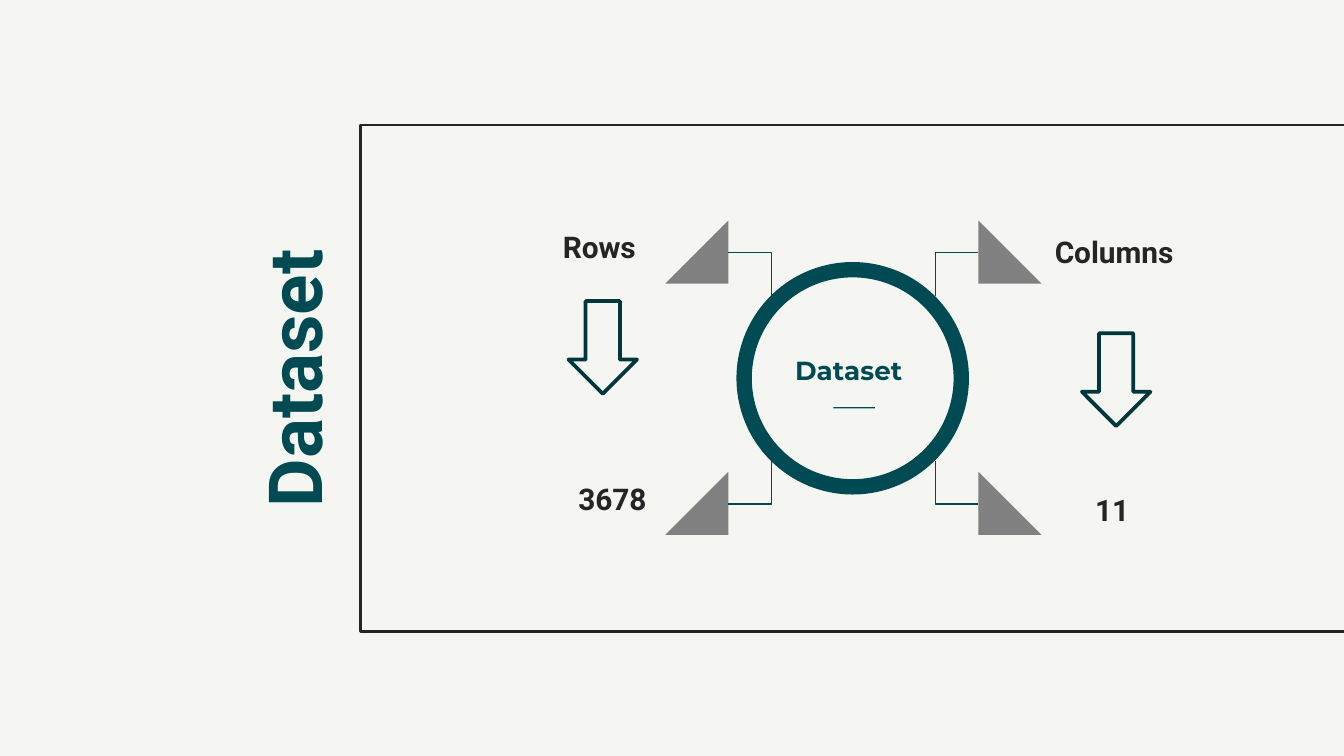
from pptx import Presentation
from pptx.dml.color import RGBColor
from pptx.enum.shapes import MSO_CONNECTOR, MSO_SHAPE as SHAPE
from pptx.enum.text import MSO_ANCHOR as ANCHOR, PP_ALIGN as ALIGN
from pptx.oxml.ns import qn
from pptx.util import Inches, Pt
from lxml import etree

TEAL, DARK, GREY, ARROW = "004B53", "252525", "808080", "00373D"


def rgb(value):
    return RGBColor.from_string(value)


def style(shape, fill=None, line=None, width=1):
    shape.shadow.inherit = False
    if fill:
        shape.fill.solid()
        shape.fill.fore_color.rgb = rgb(fill)
    else:
        shape.fill.background()
    if line:
        shape.line.color.rgb = rgb(line)
        shape.line.width = Pt(width)
    else:
        shape.line.fill.background()


# Widescreen 16:9 slide
deck = Presentation()
deck.slide_width = Inches(10)
deck.slide_height = Inches(10 * 9 / 16)
slide = deck.slides.add_slide(deck.slide_layouts[6])
slide.background.fill.solid()
slide.background.fill.fore_color.rgb = rgb("F5F6F1")
shapes = slide.shapes

# Frame running past the right edge
frame = shapes.add_shape(SHAPE.RECTANGLE, Inches(2.68), Inches(0.93), Inches(7.44), Inches(3.77))
style(frame, line=DARK, width=1.5)

# Corner triangles, each joined to the ring by an elbow
for top, elbow_end in ((1.64, 2.2), (3.51, 3.43)):
    for inner, side in ((5.42, -1), (7.28, 1)):
        outline = shapes.build_freeform(Inches(inner), Inches(top))
        outline.add_line_segments([
            (Inches(inner), Inches(top + 0.47)),
            (Inches(inner + side * 0.47), Inches(top + 0.47)),
        ], close=True)
        style(outline.convert_to_shape(), fill=GREY)

        elbow = shapes.add_connector(
            MSO_CONNECTOR.ELBOW, Inches(inner), Inches(top + 0.24),
            Inches(inner - side * 0.32), Inches(elbow_end))
        elbow.line.color.rgb = rgb(TEAL)
        elbow.line.width = Pt(0.75)
        properties = elbow._element.spPr
        properties.find(qn("a:prstGeom")).set("prst", "bentConnector2")
        etree.SubElement(properties, qn("a:effectLst"))

# Central ring and the short rule under its label
ring = shapes.add_shape(SHAPE.DONUT, Inches(5.48), Inches(1.95), Inches(1.73), Inches(1.73))
ring.adjustments[0] = 0.066
style(ring, fill=TEAL)
rule = shapes.add_shape(SHAPE.RECTANGLE, Inches(6.2), Inches(3.03), Inches(0.31), Inches(0.01))
style(rule, fill=TEAL)

# Arrows from each heading to its count
for left, top in ((4.23, 2.24), (8.05, 2.48)):
    arrow = shapes.add_shape(SHAPE.DOWN_ARROW, Inches(left), Inches(top), Inches(0.51), Inches(0.69))
    style(arrow, line=ARROW, width=2)

# Title, ring label, headings and counts
title = {"name": "Roboto", "size": Pt(40), "bold": True}
ring_label = {"name": "Montserrat", "size": Pt(14), "bold": True}
label = {"name": "Roboto", "size": Pt(16), "bold": True}
texts = [
    ("Dataset", (-0.39, 2.5, 4.9, 0.63), title, TEAL, ALIGN.CENTER, ANCHOR.TOP, 270),
    ("Dataset", (5.61, 2.57, 1.41, 0.37), ring_label, TEAL, ALIGN.CENTER, ANCHOR.MIDDLE, 0),
    ("Rows", (2.67, 1.6, 2.16, 0.54), label, DARK, ALIGN.RIGHT, ANCHOR.TOP, 0),
    ("3678", (2.75, 3.48, 2.16, 0.52), label, DARK, ALIGN.RIGHT, ANCHOR.TOP, 0),
    ("Columns", (7.75, 1.64, 2.16, 0.54), label, DARK, ALIGN.LEFT, ANCHOR.TOP, 0),
    ("11", (8.05, 3.56, 2.16, 0.52), label, DARK, ALIGN.LEFT, ANCHOR.TOP, 0),
]
for wording, place, font_format, color, align, anchor, rotation in texts:
    box = shapes.add_textbox(*map(Inches, place))
    box.rotation = rotation
    body = box.text_frame
    body.word_wrap = True
    body.vertical_anchor = anchor
    for side in ("left", "top", "right", "bottom"):
        setattr(body, f"margin_{side}", Inches(0.1))
    paragraph = body.paragraphs[0]
    paragraph.alignment = align
    run = paragraph.add_run()
    run.text = wording
    for key, value in font_format.items():
        setattr(run.font, key, value)
    run.font.color.rgb = rgb(color)

deck.save("out.pptx")
